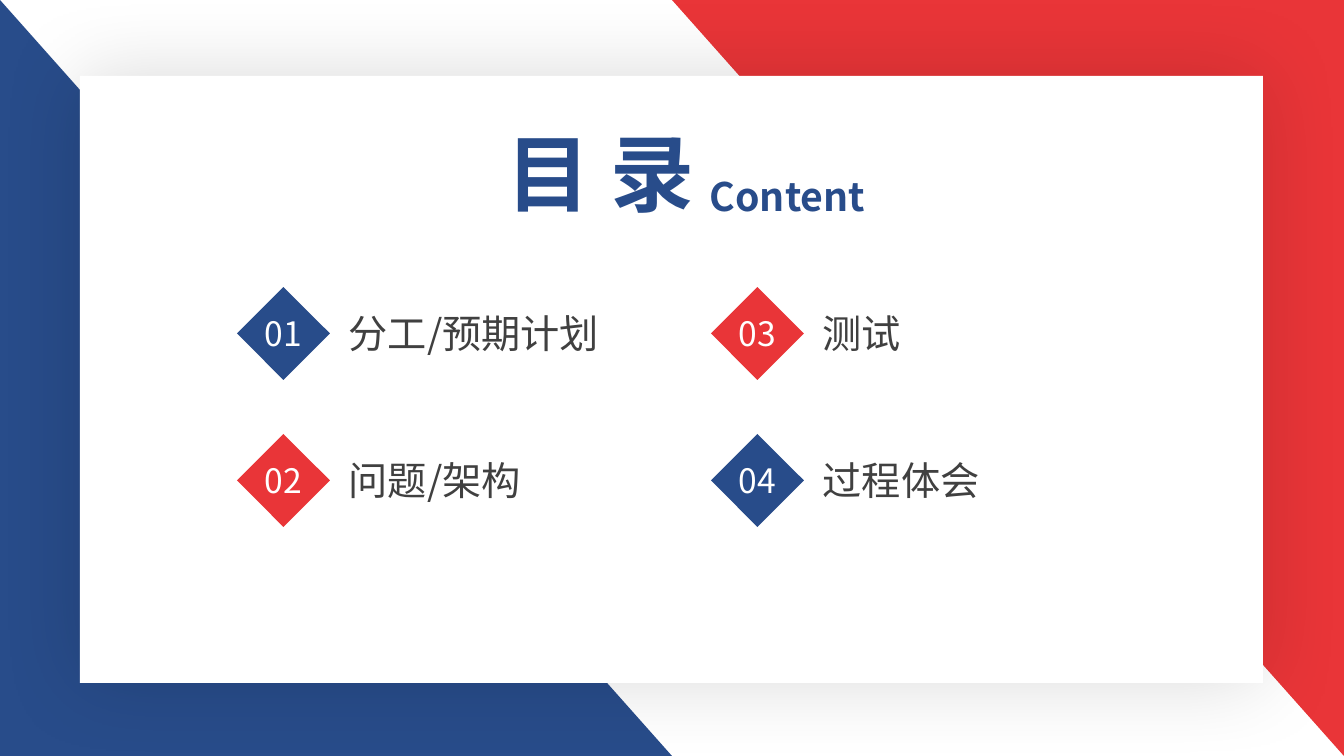
from lxml.etree import SubElement
from pptx import Presentation
from pptx.dml.color import RGBColor
from pptx.enum.shapes import MSO_SHAPE
from pptx.enum.text import MSO_ANCHOR, MSO_AUTO_SIZE, PP_ALIGN
from pptx.oxml.ns import qn
from pptx.util import Emu, Pt

BLUE = RGBColor(0x28, 0x4C, 0x8A)
RED = RGBColor(0xE9, 0x35, 0x38)
GREY = RGBColor(0x40, 0x40, 0x40)
WHITE = RGBColor(0xFF, 0xFF, 0xFF)
FONT = "Noto Sans CJK SC"
EMU_PER_PX = 914400 / 100.8

ENTRIES = [
    ("01", "分工/预期计划", BLUE),
    ("02", "问题/架构", RED),
    ("03", "测试", RED),
    ("04", "过程体会", BLUE),
]
ROWS = 2
FIRST_LEFT, FIRST_TOP = 237, 287
COLUMN_STEP, ROW_STEP = 474, 147
DIAMOND = 93


def px(length):
    return Emu(round(length * EMU_PER_PX))


class ContentsSlide:
    def __init__(self, deck):
        self.page = deck.slides.add_slide(deck.slide_layouts[5])

    def shape(self, kind, area, color, shapes=None):
        shapes = self.page.shapes if shapes is None else shapes
        shape = shapes.add_shape(kind, *map(px, area))
        shape.shadow.inherit = False
        shape.fill.solid()
        shape.fill.fore_color.rgb = color
        shape.line.fill.background()
        return shape

    def card(self, area):
        """White panel with a soft shadow on all sides."""
        card = self.shape(MSO_SHAPE.RECTANGLE, area, WHITE)
        effects = card.element.spPr.find(qn("a:effectLst"))
        shadow = SubElement(effects, qn("a:outerShdw"), blurRad=str(int(Pt(60))),
                            dist="0", algn="ctr", rotWithShape="0")
        tint = SubElement(shadow, qn("a:srgbClr"), val="000000")
        SubElement(tint, qn("a:alpha"), val="15000")
        return card

    def set_text(self, box, text, size, color, bold=False,
                 align=PP_ALIGN.LEFT, wrap=True):
        frame = box.text_frame
        layout = {"word_wrap": wrap, "vertical_anchor": MSO_ANCHOR.TOP,
                  "auto_size": MSO_AUTO_SIZE.SHAPE_TO_FIT_TEXT}
        for name, value in layout.items():
            setattr(frame, name, value)
        para = frame.paragraphs[0]
        para.alignment = align
        span = para.add_run()
        span.text = text
        style = {"name": FONT, "size": Pt(size), "bold": bold}
        for name, value in style.items():
            setattr(span.font, name, value)
        span.font.color.rgb = color
        SubElement(span.font._element, qn("a:ea"), typeface=FONT)

    def text(self, area, text, size, color, shapes=None, **options):
        shapes = self.page.shapes if shapes is None else shapes
        box = shapes.add_textbox(*map(px, area))
        self.set_text(box, text, size, color, **options)

    def title(self, area, text, above):
        """Fill the title placeholder and raise it above the given shape."""
        title = self.page.shapes.title
        for name, length in zip(("left", "top", "width", "height"), area):
            setattr(title, name, px(length))
        self.set_text(title, text, 60, BLUE, bold=True, align=PP_ALIGN.CENTER)
        above.element.addnext(title.element)

    def entry(self, left, top, number, label, color):
        """Group a numbered diamond with its label."""
        shapes = self.page.shapes.add_group_shape().shapes
        self.text((left + 102, top + 17, 305, 57), label, 28, GREY, shapes)
        self.shape(MSO_SHAPE.DIAMOND, (left, top, DIAMOND, DIAMOND), color,
                   shapes)
        self.text((left + 16, top + 21, 61, 50), number, 24, WHITE, shapes,
                  align=PP_ALIGN.CENTER, wrap=False)


def main():
    deck = Presentation()
    deck.slide_width, deck.slide_height = px(1344), px(756)
    slide = ContentsSlide(deck)

    red_corner = slide.shape(MSO_SHAPE.RIGHT_TRIANGLE, (672, 0, 672, 756), RED)
    red_corner.rotation = 180
    slide.shape(MSO_SHAPE.RIGHT_TRIANGLE, (0, 0, 672, 756), BLUE)
    card = slide.card((80, 76, 1183, 607))

    slide.title((475, 116, 251, 112), "目 录", above=card)
    slide.text((695, 167, 185, 57), "Content", 28, BLUE, bold=True,
               align=PP_ALIGN.CENTER)

    for index, entry in enumerate(ENTRIES):
        column, row = divmod(index, ROWS)
        slide.entry(FIRST_LEFT + column * COLUMN_STEP,
                    FIRST_TOP + row * ROW_STEP, *entry)

    deck.save("out.pptx")


if __name__ == "__main__":
    main()
